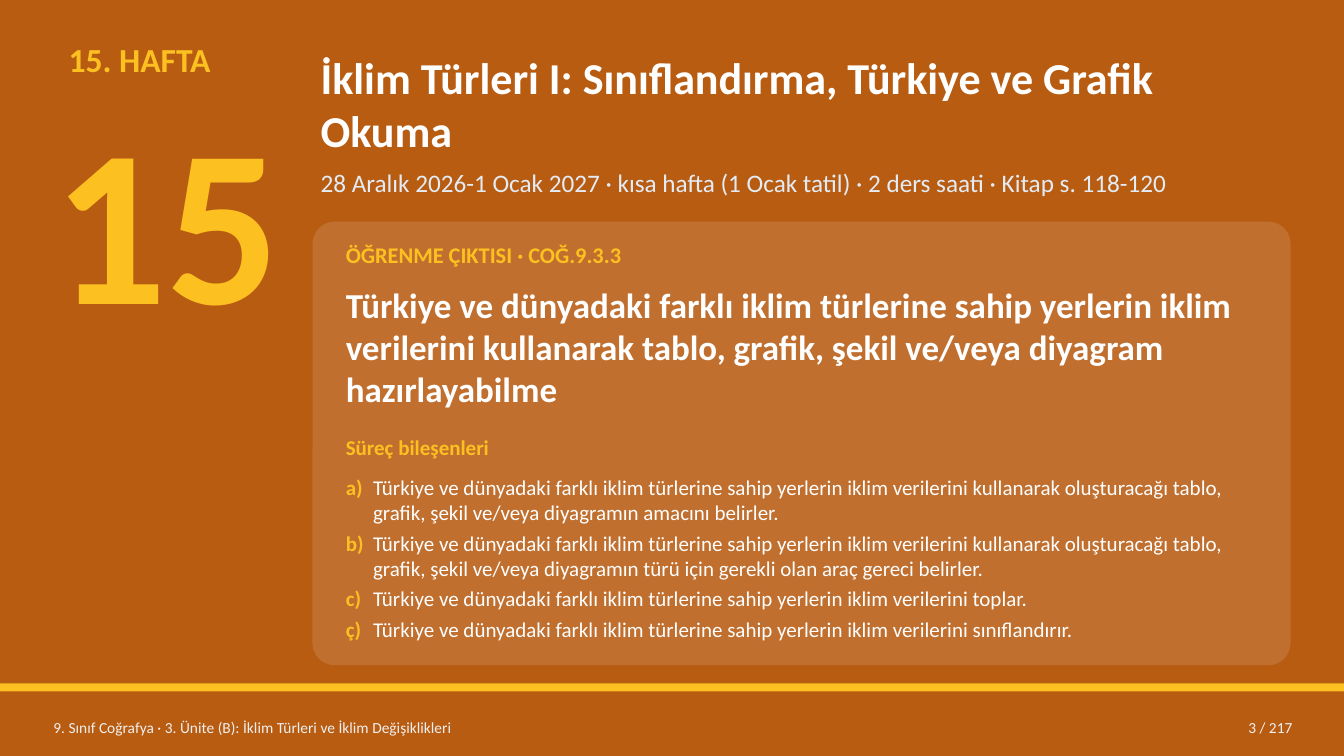
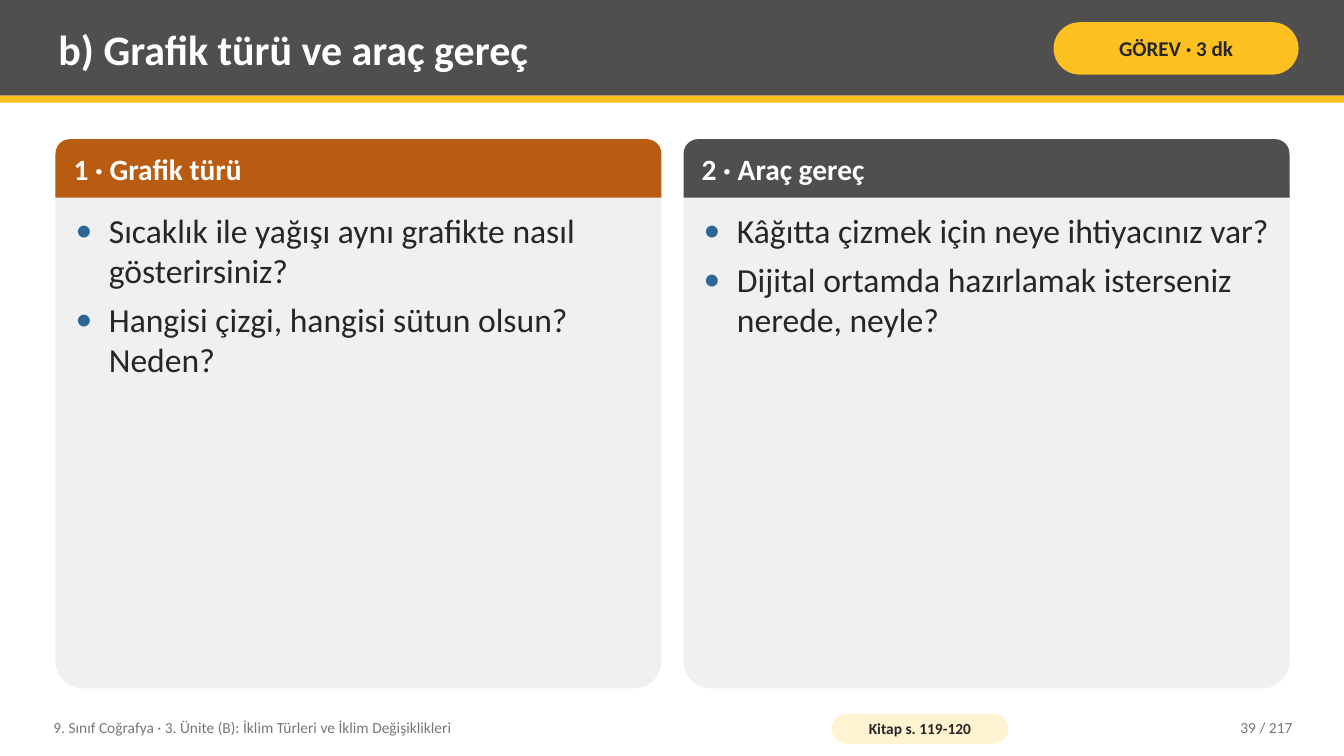
"""Builds two lesson slides: a week opener and a two-column task."""
from dataclasses import dataclass

from lxml.etree import SubElement
from pptx import Presentation
from pptx.dml.color import RGBColor
from pptx.enum.shapes import MSO_SHAPE
from pptx.enum.text import MSO_ANCHOR, MSO_AUTO_SIZE, PP_ALIGN
from pptx.oxml.ns import qn
from pptx.util import Pt

EMU_PER_PX = 9144
SLIDE_WIDTH, SLIDE_HEIGHT = 1333, 750
TITLE_ONLY = 5


@dataclass(frozen=True)
class Theme:
    """Colours, type sizes and font of the lesson."""
    font: str = "Calibri"
    orange: str = "B85C12"
    yellow: str = "FCC021"
    cream: str = "FFF3D1"
    gray: str = "4F4F4F"
    panel: str = "F0F0F0"
    muted: str = "767676"
    white: str = "FFFFFF"
    pale_blue: str = "E3ECF5"
    ink: str = "262626"
    blue: str = "2C6696"
    number_size: float = 160
    opener_title_size: float = 31.5
    title_size: float = 30
    outcome_size: float = 25
    body_size: float = 24
    card_title_size: float = 21
    subtitle_size: float = 18
    label_size: float = 16
    detail_size: float = 15
    footer_size: float = 11


THEME = Theme()
FOOTER = "9. Sınıf Coğrafya · 3. Ünite (B): İklim Türleri ve İklim Değişiklikleri"
COMPONENTS = [
    ("a)", "Türkiye ve dünyadaki farklı iklim türlerine sahip yerlerin iklim verilerini "
           "kullanarak oluşturacağı tablo, grafik, şekil ve/veya diyagramın amacını belirler."),
    ("b)", "Türkiye ve dünyadaki farklı iklim türlerine sahip yerlerin iklim verilerini "
           "kullanarak oluşturacağı tablo, grafik, şekil ve/veya diyagramın türü için "
           "gerekli olan araç gereci belirler."),
    ("c)", "Türkiye ve dünyadaki farklı iklim türlerine sahip yerlerin iklim verilerini toplar."),
    ("ç)", "Türkiye ve dünyadaki farklı iklim türlerine sahip yerlerin iklim verilerini "
           "sınıflandırır."),
]
CARDS = [
    ("1 · Grafik türü", THEME.orange,
     ["Sıcaklık ile yağışı aynı grafikte nasıl gösterirsiniz?",
      "Hangisi çizgi, hangisi sütun olsun? Neden?"]),
    ("2 · Araç gereç", THEME.gray,
     ["Kâğıtta çizmek için neye ihtiyacınız var?",
      "Dijital ortamda hazırlamak isterseniz nerede, neyle?"]),
]


def px(*lengths):
    """Turn lengths in px into EMU."""
    return [length * EMU_PER_PX for length in lengths]


def style_run(run, size, color, bold=False):
    """Give a run its font, size, colour and weight."""
    run.font.name = THEME.font
    run.font.size = Pt(size)
    run.font.bold = bold
    run.font.color.rgb = RGBColor.from_string(color)


def prepare_frame(frame, anchor=MSO_ANCHOR.TOP, side=8, edge=4):
    """Set wrapping, anchor and insets of a text frame."""
    frame.word_wrap = True
    frame.auto_size = MSO_AUTO_SIZE.NONE
    frame.vertical_anchor = anchor
    frame.margin_left, frame.margin_right = px(side, side)
    frame.margin_top, frame.margin_bottom = px(edge, edge)


def write_line(frame, text, size, color, bold=False, align=PP_ALIGN.LEFT):
    """Fill a frame with one styled paragraph."""
    frame.text = text
    paragraph = frame.paragraphs[0]
    paragraph.alignment = align
    style_run(paragraph.runs[0], size, color, bold)


def add_frame(slide, box, **layout):
    """Add a text box and return its text frame."""
    frame = slide.shapes.add_textbox(*px(*box)).text_frame
    prepare_frame(frame, **layout)
    return frame


def add_label(slide, box, text, size, color, bold=False, align=PP_ALIGN.LEFT, **layout):
    """Add a text box with one paragraph."""
    write_line(add_frame(slide, box, **layout), text, size, color, bold, align)


def add_block(slide, box, color, preset=MSO_SHAPE.RECTANGLE, radius=None, opacity=None):
    """Add a flat filled shape."""
    shape = slide.shapes.add_shape(preset, *px(*box))
    shape.shadow.inherit = False
    shape.line.fill.background()
    shape.fill.solid()
    shape.fill.fore_color.rgb = RGBColor.from_string(color)
    if radius is not None:
        shape.adjustments[0] = radius
    if opacity is not None:
        fill_color = shape.element.spPr.find(qn("a:solidFill"))[0]
        SubElement(fill_color, qn("a:alpha"), val=str(opacity * 1000))
    return shape


def add_pill(slide, box, text, size, color, edge=0):
    """Add a fully rounded badge with centred text."""
    pill = add_block(slide, box, color, MSO_SHAPE.ROUNDED_RECTANGLE, 0.5)
    prepare_frame(pill.text_frame, MSO_ANCHOR.MIDDLE, 4, edge)
    write_line(pill.text_frame, text, size, THEME.ink, True, PP_ALIGN.CENTER)


def place_title(slide, box, text, size):
    """Move, fill and raise the title placeholder."""
    title = slide.shapes.title
    title.left, title.top, title.width, title.height = px(*box)
    prepare_frame(title.text_frame, MSO_ANCHOR.MIDDLE)
    write_line(title.text_frame, text, size, THEME.white, True)
    title.element.getparent().append(title.element)


def add_footer(slide, page, color):
    """Add the unit name and the page number."""
    for left, width, text, align in ((45, 760, FOOTER, PP_ALIGN.LEFT),
                                     (1130, 160, page, PP_ALIGN.RIGHT)):
        add_label(slide, (left, 704, width, 36), text, THEME.footer_size, color,
                  align=align, anchor=MSO_ANCHOR.MIDDLE)


def add_items(frame, count, hang, gap):
    """Yield paragraphs with a hanging indent and a gap between them."""
    for index in range(count):
        paragraph = frame.paragraphs[0] if index == 0 else frame.add_paragraph()
        properties = paragraph._p.get_or_add_pPr()
        properties.set("marL", str(hang * EMU_PER_PX))
        properties.set("indent", str(-hang * EMU_PER_PX))
        if index < count - 1:
            paragraph.space_after = Pt(gap)
        yield paragraph


def add_bullets(frame, texts):
    """Write a bulleted list."""
    for paragraph, text in zip(add_items(frame, len(texts), 33, 6), texts):
        properties = paragraph._p.get_or_add_pPr()
        SubElement(SubElement(properties, qn("a:buClr")), qn("a:srgbClr"), val=THEME.blue)
        SubElement(properties, qn("a:buFont"), typeface=THEME.font)
        SubElement(properties, qn("a:buChar"), char="•")
        paragraph.text = text
        style_run(paragraph.runs[0], THEME.body_size, THEME.ink)


def add_lettered(frame, items):
    """Write a list with coloured letters."""
    for paragraph, (letter, text) in zip(add_items(frame, len(items), 27, 3.7), items):
        for part, color, bold in ((letter + "\t", THEME.yellow, True),
                                  (text, THEME.white, False)):
            run = paragraph.add_run()
            run.text = part
            style_run(run, THEME.detail_size, color, bold)


def add_card(slide, left, title, color, texts):
    """Add a panel with a coloured header and bullets."""
    top, width, header = 138, 601, 58
    add_block(slide, (left, top, width, 545), THEME.panel, MSO_SHAPE.ROUNDED_RECTANGLE, 0.05)
    add_block(slide, (left, top, width, header), color,
              MSO_SHAPE.ROUND_2_SAME_RECTANGLE, 0.25)
    add_label(slide, (left + 10, top, width - 20, header), title, THEME.card_title_size,
              THEME.white, True, anchor=MSO_ANCHOR.MIDDLE)
    add_bullets(add_frame(slide, (left + 12, top + header + 8, width - 24, 471)), texts)


def build_opener(slide):
    """Build the week opener."""
    slide.background.fill.solid()
    slide.background.fill.fore_color.rgb = RGBColor.from_string(THEME.orange)
    add_block(slide, (0, 678, SLIDE_WIDTH, 8), THEME.yellow)
    add_label(slide, (60, 35, 260, 55), "15. HAFTA", THEME.body_size, THEME.yellow, True)
    add_label(slide, (45, 80, 260, 275), "15", THEME.number_size, THEME.yellow, True, edge=0)
    place_title(slide, (310, 45, 970, 115),
                "İklim Türleri I: Sınıflandırma, Türkiye ve Grafik Okuma",
                THEME.opener_title_size)
    add_label(slide, (310, 162, 970, 45),
              "28 Aralık 2026-1 Ocak 2027 · kısa hafta (1 Ocak tatil) · 2 ders saati · "
              "Kitap s. 118-120", THEME.subtitle_size, THEME.pale_blue)
    add_block(slide, (310, 220, 970, 440), THEME.white,
              MSO_SHAPE.ROUNDED_RECTANGLE, 0.05, opacity=12)
    add_label(slide, (335, 235, 920, 40), "ÖĞRENME ÇIKTISI · COĞ.9.3.3",
              THEME.label_size, THEME.yellow, True)
    add_label(slide, (335, 277, 920, 138),
              "Türkiye ve dünyadaki farklı iklim türlerine sahip yerlerin iklim verilerini "
              "kullanarak tablo, grafik, şekil ve/veya diyagram hazırlayabilme",
              THEME.outcome_size, THEME.white, True)
    add_label(slide, (335, 427, 920, 38), "Süreç bileşenleri",
              THEME.detail_size, THEME.yellow, True)
    add_lettered(add_frame(slide, (335, 467, 920, 181)), COMPONENTS)
    add_footer(slide, "3 / 217", THEME.panel)


def build_task(slide):
    """Build the two-column task."""
    add_block(slide, (0, 0, SLIDE_WIDTH, 95), THEME.gray)
    add_block(slide, (0, 95, SLIDE_WIDTH, 7), THEME.yellow)
    place_title(slide, (50, 7, 975, 82), "b) Grafik türü ve araç gereç", THEME.title_size)
    add_pill(slide, (1045, 22, 243, 52), "GÖREV · 3 dk", THEME.detail_size, THEME.yellow, 2)
    for column, card in enumerate(CARDS):
        add_card(slide, 55 + column * 623, *card)
    add_footer(slide, "39 / 217", THEME.muted)
    add_pill(slide, (825, 708, 175, 30), "Kitap s. 119-120", THEME.footer_size, THEME.cream)


def main():
    """Build and save the presentation."""
    presentation = Presentation()
    presentation.slide_width, presentation.slide_height = px(SLIDE_WIDTH, SLIDE_HEIGHT)
    for build in (build_opener, build_task):
        build(presentation.slides.add_slide(presentation.slide_layouts[TITLE_ONLY]))
    presentation.save("out.pptx")


if __name__ == "__main__":
    main()
